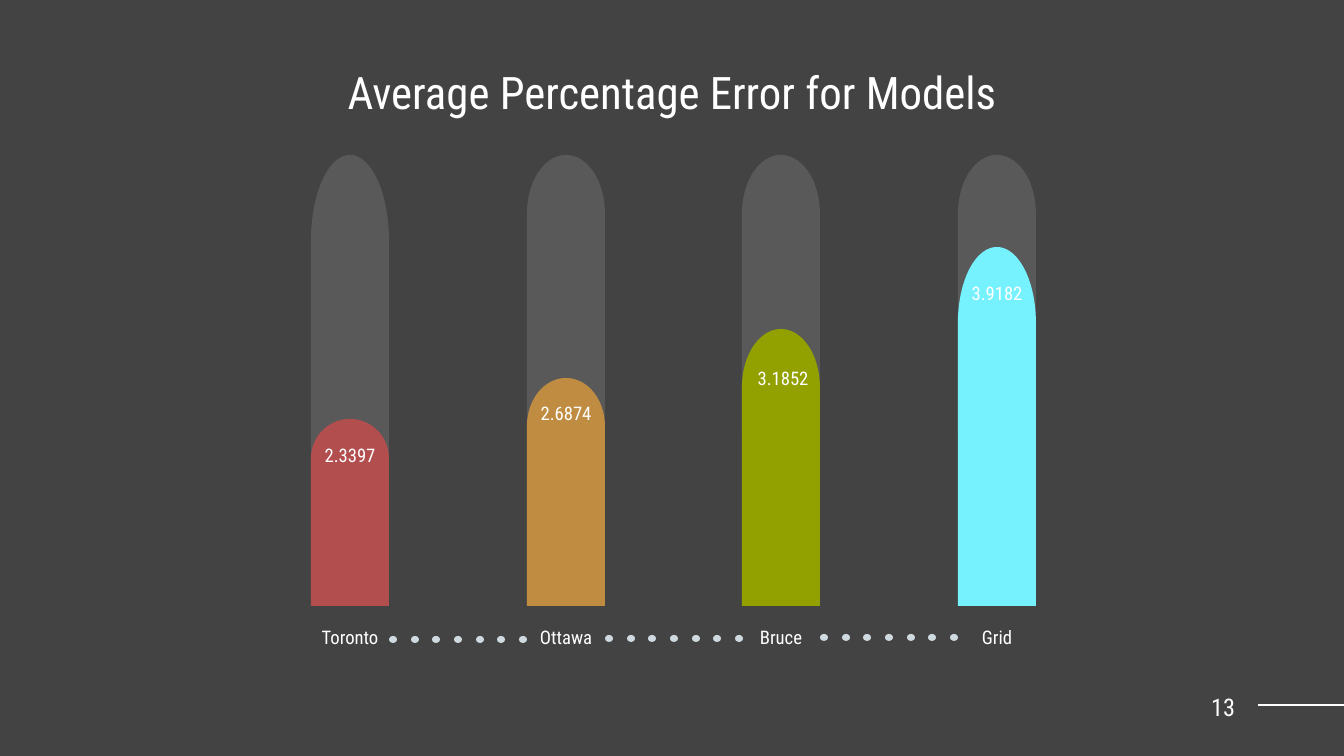
"""Build a slide of pill-shaped bars comparing the average error of four models."""
from dataclasses import dataclass
from math import cos, pi, sin
from typing import Any

from lxml.etree import SubElement
from pptx import Presentation
from pptx.dml.color import RGBColor as Color
from pptx.enum.shapes import MSO_CONNECTOR as Connector, MSO_SHAPE as Preset
from pptx.enum.text import MSO_ANCHOR as Anchor, PP_ALIGN as Align
from pptx.oxml.ns import qn
from pptx.util import Emu, Pt

PAGE_WIDTH, PAGE_HEIGHT = 1344, 756
COLUMN_LEFT, COLUMN_SPAN, COLUMN_GAPS = 311, 647, 3
BAR_WIDTH, BAR_BOTTOM, TRACK_TOP = 78, 606, 155
LABEL_WIDTH, LABEL_HEIGHT, LABEL_TOP = 146, 138, 568
DOT_LEFT, DOT_TOP, DOT_SPAN, DOT_GAPS = 389, 636, 130, 6
DOT_WIDTH, DOT_HEIGHT = 8, 7
DOME_RATIO = 0.21
ARC_STEPS = 48
INSET = 13


@dataclass(frozen=True)
class Theme:
    """Colours, font and type sizes of the slide."""
    ground: str = "434343"
    track: str = "595959"
    dot: str = "CFD9E0"
    ink: str = "FFFFFF"
    font: str = "Roboto Condensed"
    title_size: int = 24
    number_size: int = 13
    label_size: int = 10
    rule_width: float = 1.5


@dataclass(frozen=True)
class Model:
    """One model's bar, its value and the place of its value label."""
    name: str
    value: str
    color: str
    top: int
    track_bottom: int
    value_top: int
    value_height: int = LABEL_HEIGHT
    value_shift: int = 0


THEME = Theme()
MODELS = (
    Model("Toronto", "2.3397", "B24E4E", 419, 562, 386),
    Model("Ottawa", "2.6874", "BF8C41", 378, 433, 344),
    Model("Bruce", "3.1852", "92A000", 329, 433, 336, 85, 2),
    Model("Grid", "3.9182", "76F2FF", 247, 433, 224),
)


def px(length: float) -> Emu:
    """Turn a length in px into EMU."""
    return Emu(round(length * 914400 / 134.4))


def spread(start: int, span: int, gaps: int, index: int) -> int:
    """Return one of the evenly spaced positions across a span."""
    return start + round(span * index / gaps)


def paint(shape: Any, color: str) -> None:
    """Give a shape a flat fill with no line or shadow."""
    shape.fill.solid()
    shape.fill.fore_color.rgb = Color.from_string(color)
    shape.line.fill.background()
    shape.shadow.inherit = False


def add_text(page: Any, text: str, *, left: int, top: int, width: int, height: int,
             size: int, align: Align = Align.CENTER) -> None:
    """Add a vertically centred line of text."""
    box = page.shapes.add_textbox(px(left), px(top), px(width), px(height))
    frame = box.text_frame
    frame.word_wrap = True
    frame.vertical_anchor = Anchor.MIDDLE
    frame.margin_left = frame.margin_right = px(INSET)
    frame.margin_top = frame.margin_bottom = px(INSET)
    para = frame.paragraphs[0]
    para.alignment = align
    span = para.add_run()
    span.text = text
    span.font.name = THEME.font
    span.font.size = Pt(size)
    span.font.color.rgb = Color.from_string(THEME.ink)


def add_dome(shapes: Any, left: int, top: int, bottom: int, color: str) -> None:
    """Add a bar whose top is half an ellipse."""
    radius = BAR_WIDTH / 2
    rise = DOME_RATIO * (bottom - top)
    angles = [pi * step / ARC_STEPS for step in range(ARC_STEPS + 1)]
    arc = [(px(left + radius - radius * cos(angle)), px(top + rise - rise * sin(angle)))
           for angle in angles]
    outline = shapes.build_freeform(px(left), px(bottom))
    outline.add_line_segments([*arc, (px(left + BAR_WIDTH), px(bottom))], close=True)
    paint(outline.convert_to_shape(), color)


def add_model(page: Any, model: Model, left: int) -> None:
    """Add a model's track, bar, name and value."""
    bars = page.shapes.add_group_shape().shapes
    add_dome(bars, left, TRACK_TOP, model.track_bottom, THEME.track)
    add_dome(bars, left, model.top, BAR_BOTTOM, model.color)
    label_left = left + (BAR_WIDTH - LABEL_WIDTH) // 2
    add_text(page, model.name, left=label_left, top=LABEL_TOP, width=LABEL_WIDTH,
             height=LABEL_HEIGHT, size=THEME.label_size)
    add_text(page, model.value, left=label_left + model.value_shift, top=model.value_top,
             width=LABEL_WIDTH, height=model.value_height, size=THEME.label_size)


def add_dots(page: Any, group: int) -> None:
    """Add the row of dots between two neighbouring names."""
    start = spread(DOT_LEFT, COLUMN_SPAN, COLUMN_GAPS, group)
    for index in range(DOT_GAPS + 1):
        left = spread(start, DOT_SPAN, DOT_GAPS, index)
        dot = page.shapes.add_shape(Preset.OVAL, px(left), px(DOT_TOP - group),
                                    px(DOT_WIDTH), px(DOT_HEIGHT))
        paint(dot, THEME.dot)


def add_rule(page: Any, left: int, right: int, top: int) -> None:
    """Add a horizontal line."""
    rule = page.shapes.add_connector(Connector.STRAIGHT, px(left), px(top), px(right), px(top))
    rule.line.color.rgb = Color.from_string(THEME.ink)
    rule.line.width = Pt(THEME.rule_width)
    SubElement(rule._element.spPr, qn("a:effectLst"))


def main() -> None:
    """Build and save the deck."""
    deck = Presentation()
    deck.slide_width, deck.slide_height = px(PAGE_WIDTH), px(PAGE_HEIGHT)
    page = deck.slides.add_slide(deck.slide_layouts[6])
    page.background.fill.solid()
    page.background.fill.fore_color.rgb = Color.from_string(THEME.ground)
    add_rule(page, 1258, PAGE_WIDTH, 705)
    add_text(page, "Average Percentage Error for Models", left=281, top=23, width=782,
             height=138, size=THEME.title_size)
    add_text(page, "13", left=1167, top=687, width=81, height=40,
             size=THEME.number_size, align=Align.RIGHT)
    for index, model in enumerate(MODELS):
        add_model(page, model, spread(COLUMN_LEFT, COLUMN_SPAN, COLUMN_GAPS, index))
    for group in range(COLUMN_GAPS):
        add_dots(page, group)
    deck.save("out.pptx")


if __name__ == "__main__":
    main()
